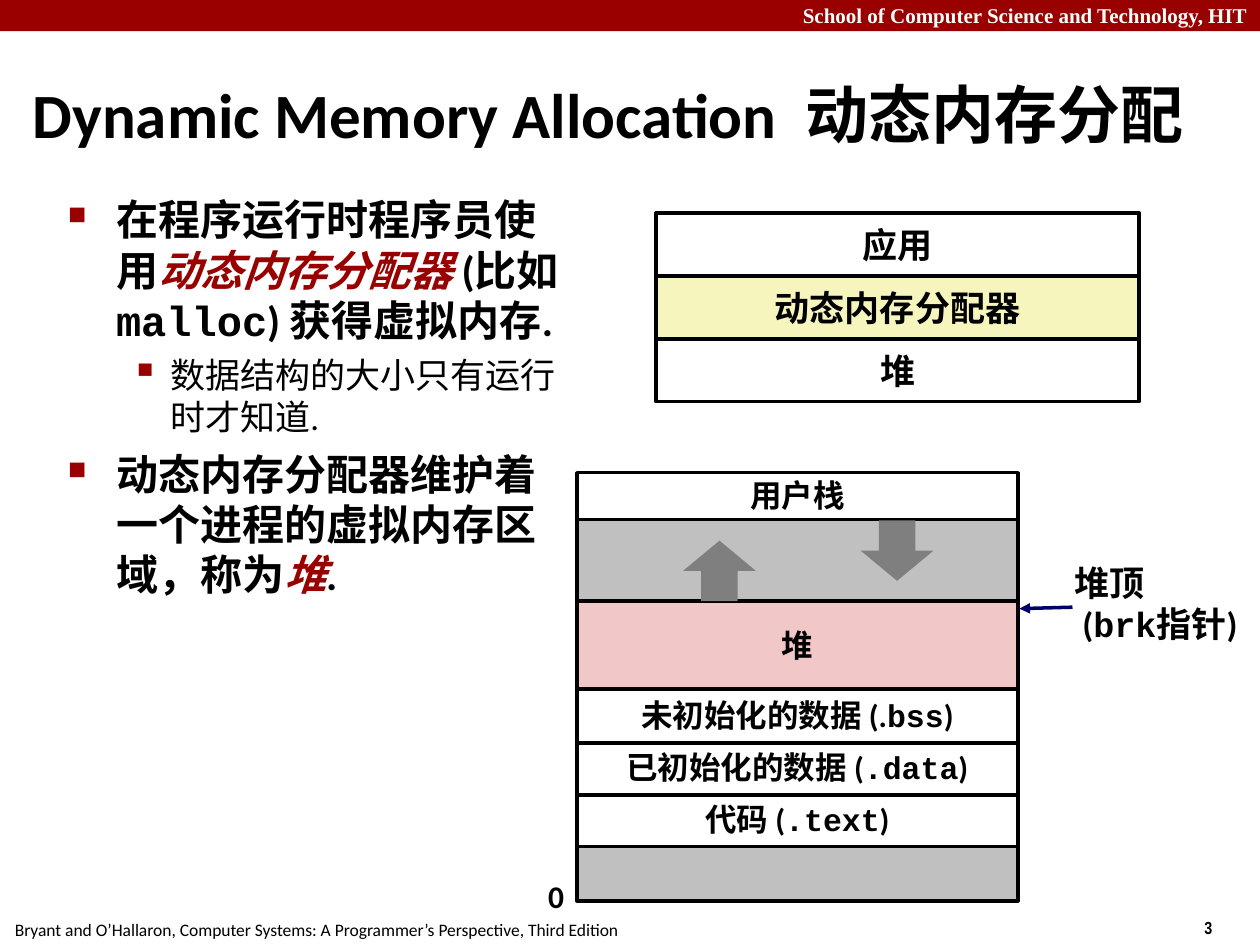
from lxml import etree
from pptx import Presentation
from pptx.dml.color import RGBColor
from pptx.enum.shapes import MSO_CONNECTOR, MSO_SHAPE
from pptx.enum.text import MSO_ANCHOR, PP_ALIGN
from pptx.oxml.ns import qn
from pptx.util import Cm, Pt

RECT, UP, DOWN = MSO_SHAPE.RECTANGLE, MSO_SHAPE.UP_ARROW, MSO_SHAPE.DOWN_ARROW
LEFT, CENTER, RIGHT = PP_ALIGN.LEFT, PP_ALIGN.CENTER, PP_ALIGN.RIGHT
MIDDLE, TOP = MSO_ANCHOR.MIDDLE, MSO_ANCHOR.TOP

BLACK = RGBColor(0x00, 0x00, 0x00)
WHITE = RGBColor(0xFF, 0xFF, 0xFF)
RED = RGBColor(0x99, 0x00, 0x00)
NAVY = RGBColor(0x00, 0x00, 0x66)
SILVER = RGBColor(0xC0, 0xC0, 0xC0)
GREY = RGBColor(0x7F, 0x7F, 0x7F)
PINK = RGBColor(0xF1, 0xC7, 0xC7)
YELLOW = RGBColor(0xF6, 0xF5, 0xBD)

# Run styles
PLAIN = {}
CODE = {"font": "Courier New"}
TERM = {"color": RED, "italic": True}

# Content
HEADER = "School of Computer Science and Technology, HIT"
FOOTER = "Bryant and O’Hallaron, Computer Systems: A Programmer’s Perspective, Third Edition"
TITLE = [("Dynamic Memory Allocation", PLAIN), (" ", {"spacing": 800}), ("动态内存分配", PLAIN)]

# level, runs
BULLETS = [
    (0, [("在程序运行时程序员使用", PLAIN), ("动态内存分配器 ", TERM), ("(比如 ", PLAIN),
         ("malloc", CODE), (") 获得虚拟内存.", PLAIN)]),
    (1, [("数据结构的大小只有运行时才知道.", PLAIN)]),
    (0, [("动态内存分配器维护着一个进程的虚拟内存区域，称为", PLAIN), ("堆", TERM), (".", PLAIN)]),
]
# size, bold, left margin, hanging indent, space before, bullet, bullet percent
LEVELS = [
    (24, True, 0.97, 0.97, 6, "■", 60),
    (20, False, 2.06, 0.79, 5, "▪", 110),
]

LAYERS = [("应用", WHITE), ("动态内存分配器", YELLOW), ("堆", WHITE)]

# top, height, fill, runs; back to front
MEMORY = [
    (10.41, 1.7, SILVER, []),
    (12.12, 1.83, PINK, [("堆", PLAIN)]),
    (16.0, 1.09, WHITE, [("代码 (", PLAIN), (".text", CODE), (")", PLAIN)]),
    (14.94, 1.09, WHITE, [("已初始化的数据 (", PLAIN), (".data", CODE), (")", PLAIN)]),
    (13.89, 1.09, WHITE, [("未初始化的数据 (.", PLAIN), ("bss", CODE), (")", PLAIN)]),
    (9.53, 0.94, WHITE, [("用户栈", PLAIN)]),
    (17.07, 1.09, SILVER, []),
]
GROWTH_ARROWS = [(DOWN, 17.35, 10.49), (UP, 13.77, 10.9)]


def add_runs(p, runs, size, bold=True, font="Calibri", color=BLACK):
    for text, style in runs:
        r = p.add_run()
        r.text = text
        r.font.size = Pt(size)
        r.font.bold = bold
        r.font.italic = style.get("italic", False)
        r.font.name = style.get("font", font)
        r.font.color.rgb = style.get("color", color)
        if "spacing" in style:
            r.font._element.set("spc", str(style["spacing"]))


def add_text(s, box, lines, size, align=LEFT, anchor=TOP, wrap=False, spacing=None, **style):
    tf = s.shapes.add_textbox(*map(Cm, box)).text_frame
    tf.word_wrap = wrap
    tf.vertical_anchor = anchor
    for i, runs in enumerate(lines):
        p = tf.paragraphs[0] if i == 0 else tf.add_paragraph()
        p.alignment = align
        p.line_spacing = spacing
        add_runs(p, runs, size, **style)
    return tf


def add_block(s, kind, box, fill, runs=(), size=18, outlined=True, spacing=None):
    sp = s.shapes.add_shape(kind, *map(Cm, box))
    sp.shadow.inherit = False
    sp.fill.solid()
    sp.fill.fore_color.rgb = fill
    if outlined:
        sp.line.color.rgb = BLACK
        sp.line.width = Pt(2)
    else:
        sp.line.fill.background()
    if runs:
        tf = sp.text_frame
        tf.word_wrap = False
        tf.vertical_anchor = MIDDLE
        p = tf.paragraphs[0]
        p.alignment = CENTER
        p.line_spacing = spacing
        add_runs(p, runs, size)


def set_bullet(p, margin, hanging, char, percent):
    pPr = p._p.get_or_add_pPr()
    pPr.set("marL", str(Cm(margin)))
    pPr.set("indent", str(-Cm(hanging)))
    color = etree.SubElement(pPr, qn("a:buClr"))
    etree.SubElement(color, qn("a:srgbClr"), val=str(RED))
    etree.SubElement(pPr, qn("a:buSzPct"), val=str(percent * 1000))
    etree.SubElement(pPr, qn("a:buChar"), char=char)


def add_bullets(s, box):
    tf = s.shapes.add_textbox(*map(Cm, box)).text_frame
    tf.word_wrap = True
    for i, (level, runs) in enumerate(BULLETS):
        size, bold, margin, hanging, before, char, percent = LEVELS[level]
        p = tf.paragraphs[0] if i == 0 else tf.add_paragraph()
        p.level = level
        set_bullet(p, margin, hanging, char, percent)
        if i:
            p.space_before = Pt(before)
        add_runs(p, runs, size, bold)


def add_arrow(s, start, end):
    line = s.shapes.add_connector(MSO_CONNECTOR.STRAIGHT, *map(Cm, start + end))
    line.line.color.rgb = NAVY
    line.line.width = Pt(2)
    etree.SubElement(line.line._get_or_add_ln(), qn("a:tailEnd"), type="triangle")
    etree.SubElement(line._element.spPr, qn("a:effectLst"))


def main():
    prs = Presentation()
    prs.slide_width, prs.slide_height = Cm(25.4), Cm(19.05)
    s = prs.slides.add_slide(prs.slide_layouts[6])

    # Header band, page number and footer
    add_block(s, RECT, (0, 0, 25.4, 0.63), RED, outlined=False)
    add_text(s, (24.03, 18.36, 1.37, 0.69), [[("3", PLAIN)]], 10, wrap=True, font="Arial Narrow")
    add_text(s, (0.05, 18.41, 12.73, 0.69), [[(FOOTER, PLAIN)]], 10, bold=False)
    add_text(s, (0, -0.08, 25.4, 0.76), [[(HEADER, PLAIN)]], 12, align=RIGHT, wrap=True,
             font="Times New Roman", color=WHITE)

    # Title and bullets
    add_text(s, (0.41, 1.22, 24.51, 2.11), [TITLE], 36, anchor=MIDDLE, wrap=True)
    add_bullets(s, (1.12, 3.78, 10.52, 13.82))

    # Process memory map
    for top, height, fill, runs in MEMORY:
        add_block(s, RECT, (11.63, top, 8.89, height), fill, runs, spacing=0.98)
    add_text(s, (10.8, 17.6, 0.81, 1.02), [[("0", PLAIN)]], 18, spacing=0.98)

    # Top-of-heap pointer
    tf = add_text(s, (21.41, 11.23, 4.11, 1.93),
                  [[("堆顶", PLAIN)], [("(", PLAIN), ("brk指针", CODE), (")", PLAIN)]],
                  20, spacing=0.98)
    tf.paragraphs[1]._p.get_or_add_pPr().set("marL", str(Cm(0.16)))
    add_arrow(s, (21.62, 12.24), (20.55, 12.27))

    # Growth directions of stack and heap
    for kind, left, top in GROWTH_ARROWS:
        add_block(s, kind, (left, top, 1.47, 1.22), GREY, outlined=False)

    # Allocator layers
    for i, (label, fill) in enumerate(LAYERS):
        add_block(s, RECT, (13.23, 4.29 + i * 1.27, 9.73, 1.27), fill, [(label, PLAIN)], 20)

    prs.save("out.pptx")


if __name__ == "__main__":
    main()
